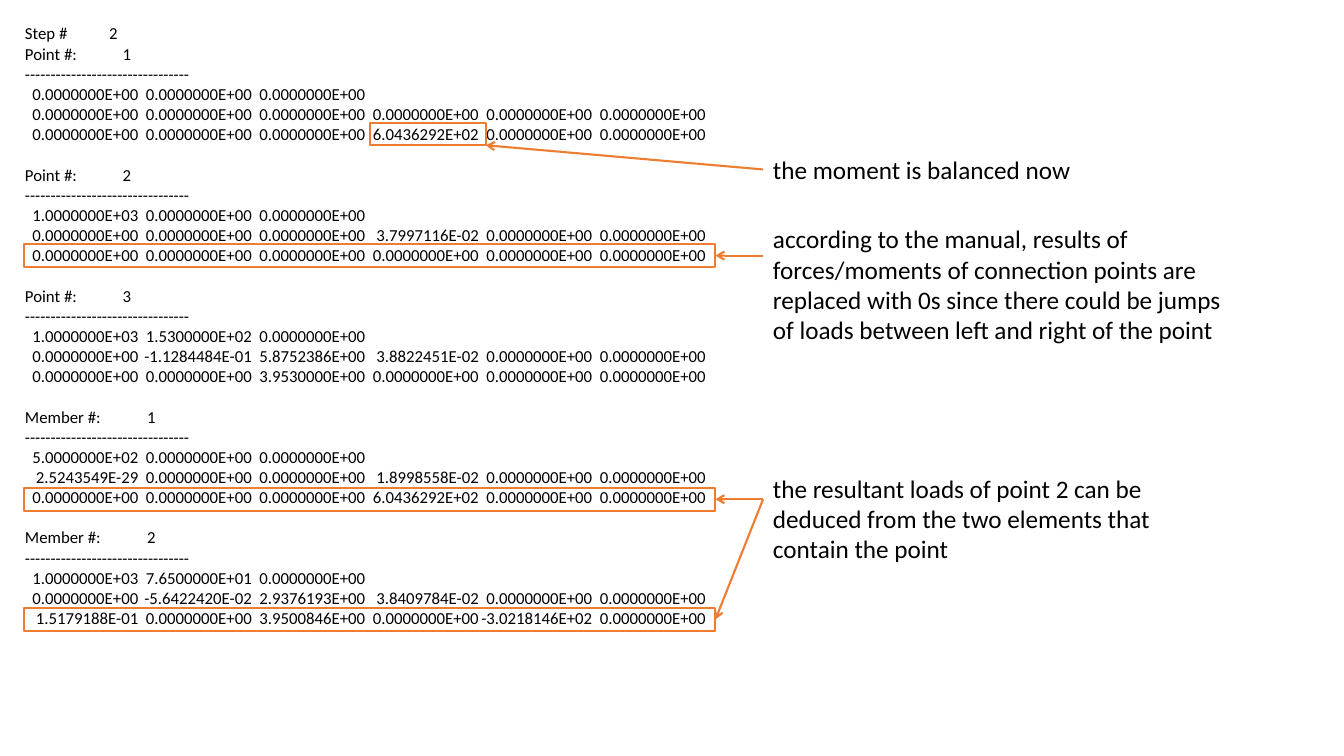
"""Builds the slide of step 2 analysis results with explanatory callouts."""
import pptx
import pptx.dml.color
import pptx.enum.shapes
import pptx.enum.text
import pptx.oxml
import pptx.oxml.ns
import pptx.util
from pptx.util import Cm

ORANGE = pptx.dml.color.RGBColor(0xED, 0x7D, 0x31)
BLACK = pptx.dml.color.RGBColor(0, 0, 0)
NAMESPACE = pptx.oxml.ns.nsdecls("a")

RULE = "-" * 32
COLUMN_PITCH = 2.86
LABEL_TABS = {"Step #": 2.12, "Point #:": 2.46, "Member #:": 3.08}
ZEROS = " ".join(["0.0000000E+00"] * 6)

RESULTS = [
    ("Point #:", "1", [
        "0.0000000E+00 0.0000000E+00 0.0000000E+00",
        ZEROS,
        "0.0000000E+00 0.0000000E+00 0.0000000E+00 6.0436292E+02 0.0000000E+00 0.0000000E+00",
    ]),
    ("Point #:", "2", [
        "1.0000000E+03 0.0000000E+00 0.0000000E+00",
        "0.0000000E+00 0.0000000E+00 0.0000000E+00 3.7997116E-02 0.0000000E+00 0.0000000E+00",
        ZEROS,
    ]),
    ("Point #:", "3", [
        "1.0000000E+03 1.5300000E+02 0.0000000E+00",
        "0.0000000E+00 -1.1284484E-01 5.8752386E+00 3.8822451E-02 0.0000000E+00 0.0000000E+00",
        "0.0000000E+00 0.0000000E+00 3.9530000E+00 0.0000000E+00 0.0000000E+00 0.0000000E+00",
    ]),
    ("Member #:", "1", [
        "5.0000000E+02 0.0000000E+00 0.0000000E+00",
        "2.5243549E-29 0.0000000E+00 0.0000000E+00 1.8998558E-02 0.0000000E+00 0.0000000E+00",
        "0.0000000E+00 0.0000000E+00 0.0000000E+00 6.0436292E+02 0.0000000E+00 0.0000000E+00",
    ]),
    ("Member #:", "2", [
        "1.0000000E+03 7.6500000E+01 0.0000000E+00",
        "0.0000000E+00 -5.6422420E-02 2.9376193E+00 3.8409784E-02 0.0000000E+00 0.0000000E+00",
        "1.5179188E-01 0.0000000E+00 3.9500846E+00 0.0000000E+00 -3.0218146E+02 0.0000000E+00",
    ]),
]


class SlideBuilder:
    """Holds the style and the current slide."""

    def __init__(self, presentation):
        """Adds a blank slide."""
        self.slide = presentation.slides.add_slide(presentation.slide_layouts[6])
        self.font_format = {"name": "Calibri"}
        self.line_width = pptx.util.Pt(1.5)

    def text_box(self, left, top, width, height, wrap=True, inset=0.25):
        """Adds an empty text box."""
        shape = self.slide.shapes.add_textbox(Cm(left), Cm(top), Cm(width), Cm(height))
        frame_format = {
            "word_wrap": wrap,
            "margin_left": Cm(inset),
            "auto_size": pptx.enum.text.MSO_AUTO_SIZE.SHAPE_TO_FIT_TEXT,
        }
        for name, value in frame_format.items():
            setattr(shape.text_frame, name, value)
        return shape

    def add_text(self, paragraph, text, size):
        """Adds one formatted run."""
        run = paragraph.add_run()
        run.text = text
        for name, value in {**self.font_format, "size": pptx.util.Pt(size)}.items():
            setattr(run.font, name, value)
        run.font.color.rgb = BLACK

    def set_tabs(self, paragraph, positions, alignment):
        """Sets the tab stops of a paragraph, in centimetres."""
        stops = "".join(f'<a:tab pos="{Cm(position)}" algn="{alignment}"/>' for position in positions)
        tab_list = pptx.oxml.parse_xml(f"<a:tabLst {NAMESPACE}>{stops}</a:tabLst>")
        paragraph._p.get_or_add_pPr().append(tab_list)

    def listing(self, left, top, width, height):
        """Adds the results, with values aligned in columns."""
        frame = self.text_box(left, top, width, height, inset=0.35).text_frame
        columns = [COLUMN_PITCH * number for number in range(1, 7)]
        self.heading(frame.paragraphs[0], "Step #", "2")
        for index, (label, number, rows) in enumerate(RESULTS):
            paragraph = frame.add_paragraph()
            if index:
                paragraph.space_before = pptx.util.Pt(14.4)
            self.heading(paragraph, label, number)
            self.add_text(frame.add_paragraph(), RULE, 12)
            for row in rows:
                paragraph = frame.add_paragraph()
                self.set_tabs(paragraph, columns, "r")
                self.add_text(paragraph, "\t" + "\t".join(row.split()), 12)

    def heading(self, paragraph, label, number):
        """Adds a label and its number."""
        self.set_tabs(paragraph, [LABEL_TABS[label]], "l")
        self.add_text(paragraph, f"{label}\t{number}", 12)

    def callout(self, text, top, width, height, wrap=True):
        """Adds an explanation on the right."""
        shape = self.text_box(19.23, top, width, height, wrap)
        self.add_text(shape.text_frame.paragraphs[0], text, 18)
        return shape

    def frame(self, top, left=0.61, width=17.42, height=0.58):
        """Adds an outline around values."""
        shape = self.slide.shapes.add_shape(
            pptx.enum.shapes.MSO_SHAPE.RECTANGLE, Cm(left), Cm(top), Cm(width), Cm(height))
        shape.shadow.inherit = False
        shape.fill.background()
        shape.line.color.rgb = ORANGE
        shape.line.width = self.line_width
        return shape

    def arrow(self, start_y, end_x, end_y):
        """Adds an arrow from the callouts' left edge."""
        connector = self.slide.shapes.add_connector(
            pptx.enum.shapes.MSO_CONNECTOR.STRAIGHT, Cm(19.23), Cm(start_y), Cm(end_x), Cm(end_y))
        connector.line.color.rgb = ORANGE
        connector.line.width = self.line_width
        connector.line._get_or_add_ln().append(
            pptx.oxml.parse_xml(f'<a:tailEnd {NAMESPACE} type="arrow"/>'))
        connector._element.spPr.append(pptx.oxml.parse_xml(f"<a:effectLst {NAMESPACE}/>"))
        return connector


def main():
    """Builds and saves the presentation."""
    presentation = pptx.Presentation()
    presentation.slide_width = Cm(33.87)
    presentation.slide_height = Cm(19.05)
    builder = SlideBuilder(presentation)
    builder.listing(0.28, 0.46, 18.08, 15.65)

    builder.frame(3.1, left=9.32, width=2.92, height=0.56)
    balanced = builder.callout("the moment is balanced now", 3.76, 8.23, 1.02, wrap=False)
    builder.arrow(4.27, 12.24, 3.66).begin_connect(balanced, 1)

    builder.callout(
        "according to the manual, results of forces/moments of connection points are "
        "replaced with 0s since there could be jumps of loads between left and right "
        "of the point", 5.51, 12.04, 3.33)
    builder.callout(
        "the resultant loads of point 2 can be deduced from the two elements that "
        "contain the point", 11.79, 12.04, 2.57)
    for frame_top, start_y in [(6.15, 6.44), (12.29, 12.58), (15.32, 12.58)]:
        row_frame = builder.frame(frame_top)
        builder.arrow(start_y, 18.03, frame_top + 0.29).end_connect(row_frame, 3)

    presentation.save("out.pptx")


if __name__ == "__main__":
    main()
